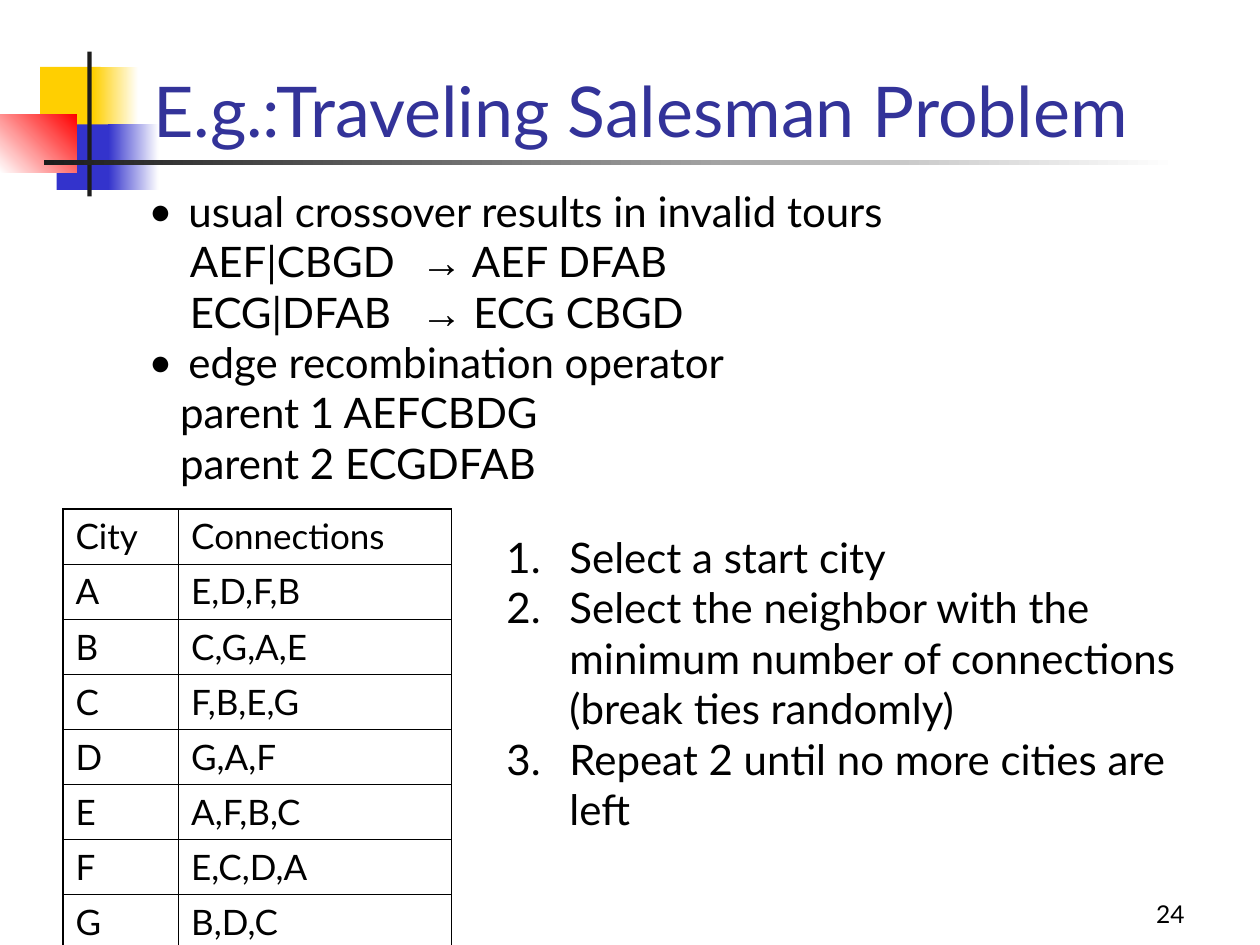
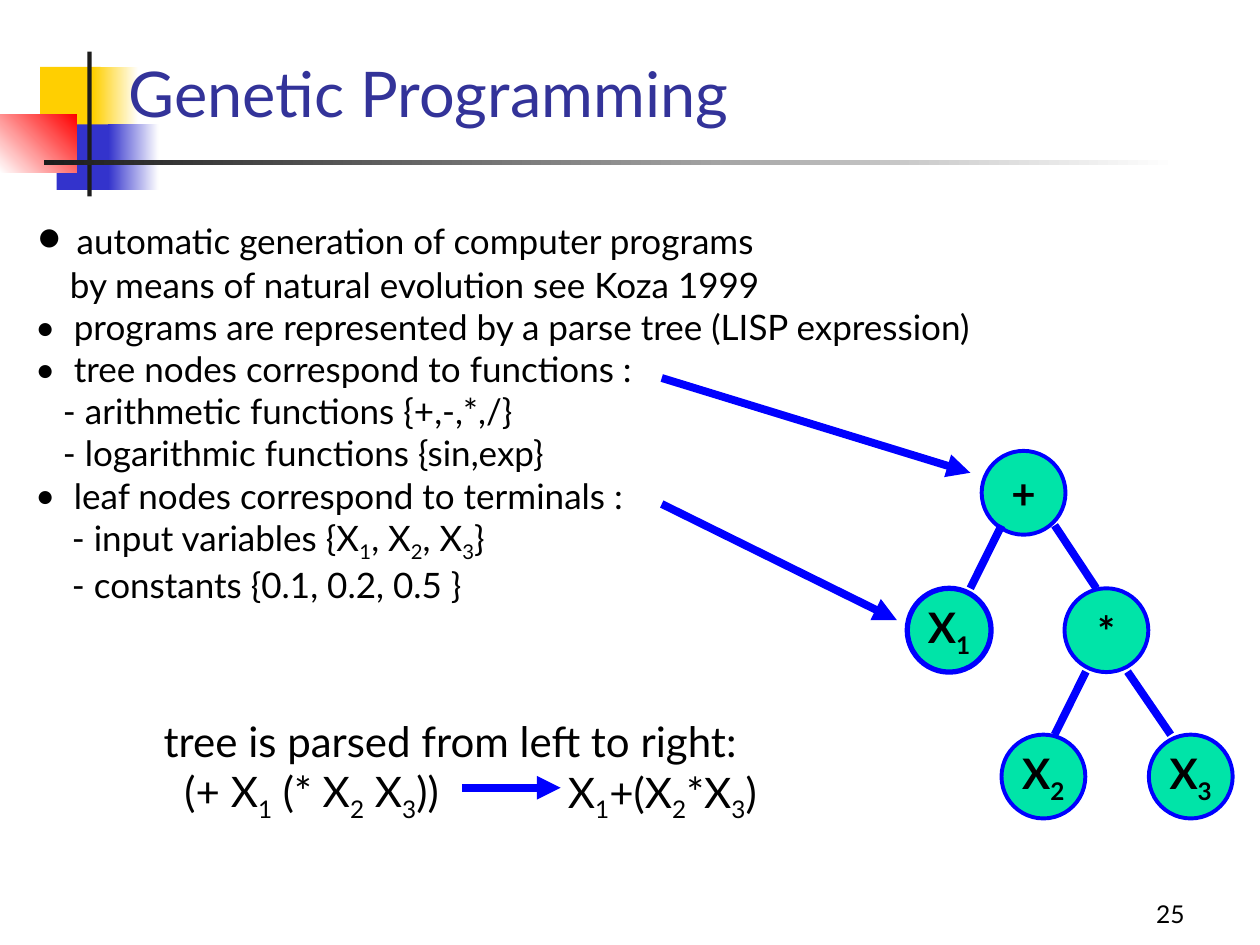
from dataclasses import dataclass
from typing import NamedTuple

from lxml.etree import SubElement
from pptx import Presentation
from pptx.dml.color import RGBColor
from pptx.enum.shapes import MSO_CONNECTOR as Connector, MSO_SHAPE as Shape
from pptx.enum.text import MSO_ANCHOR as Anchor, PP_ALIGN as Align
from pptx.oxml.ns import qn
from pptx.util import Cm, Pt

FONT = "Lato"
BLACK = "000000"
WHITE = "FFFFFF"
TITLE_BLUE = "333399"
BLUE = "0000FF"
GREEN = "00E4A8"
NODE_SIZE = 1.69
ROW_HEIGHT = 1.11
LINE_HEIGHT = 1.02


class Area(NamedTuple):
    left: float
    top: float
    width: float
    height: float


class Band(NamedTuple):
    area: Area
    start: str
    end: str = ""
    angle: int = 0


class Span(NamedTuple):
    text: str
    size: float = 0
    font: str = FONT
    subscript: bool = False


@dataclass
class Line:
    spans: list[Span]
    margin: float = 0
    indent: float = 0
    marker: str = ""


class Node(NamedTuple):
    label: str
    left: float
    top: float
    outline: float = 2.25


class Link(NamedTuple):
    start: tuple[float, float]
    end: tuple[float, float]
    arrow: bool = False


BANDS = [
    Band(Area(0.81, 1.35, 1.22, 1.32), "FFCF01"),
    Band(Area(1.88, 1.35, 0.91, 1.32), "FFCF01", WHITE),
    Band(Area(1.14, 2.51, 1.17, 1.32), "3333CC"),
    Band(Area(2.18, 2.51, 1.02, 1.32), "3333CC", WHITE),
    Band(Area(0, 2.31, 1.55, 1.17), WHITE, "FF0000", 45),
    Band(Area(1.76, 1.04, 0.09, 2.92), "1C1C1C"),
    Band(Area(0.89, 3.22, 22.86, 0.1), "1C1C1C", WHITE),
]

CONNECTIONS = [
    ("City", "Connections"),
    ("A", "E,D,F,B"),
    ("B", "C,G,A,E"),
    ("C", "F,B,E,G"),
    ("D", "G,A,F"),
    ("E", "A,F,B,C"),
    ("F", "E,C,D,A"),
    ("G", "B,D,C"),
]

NODES = [
    Node("+", 19.79, 9.09),
    Node("*", 21.46, 11.86),
    Node("X_3", 23.16, 14.81),
    Node("X_2", 20.19, 14.81),
    Node("X_1", 18.29, 11.86, 3),
]

LINKS = [
    Link((20.19, 10.59), (19.56, 11.86)),
    Link((21.26, 10.59), (22.1, 11.86)),
    Link((22.73, 13.54), (23.6, 14.81)),
    Link((21.89, 13.54), (21.26, 14.81)),
    Link((13.34, 7.62), (19.56, 9.53), True),
    Link((13.34, 10.16), (18.08, 12.5), True),
    Link((9.32, 15.88), (11.3, 15.88), True),
]


def colour(value: str) -> RGBColor:
    return RGBColor.from_string(value)


def spans(text: str) -> list[Span]:
    first, *rest = text.split("_")
    result = [Span(first)]
    for part in rest:
        result.append(Span(part[0], subscript=True))
        if part[1:]:
            result.append(Span(part[1:]))
    return result


def bullet(text: str, margin: float) -> Line:
    return Line(spans(text), margin, -margin, "•")


def indented(text: str, indent: float) -> Line:
    return Line(spans(text), indent=indent)


def child(text: str) -> Line:
    return Line([Span("→", font="Arial"), Span(" " + text)])


def format_para(para, line: Line) -> None:
    properties = para._p.get_or_add_pPr()
    properties.set("marL", str(Cm(line.margin)))
    properties.set("indent", str(Cm(line.indent)))
    if line.marker:
        SubElement(properties, qn("a:buFont"), typeface=FONT)
    if line.marker == "1.":
        SubElement(properties, qn("a:buAutoNum"), type="arabicPeriod")
    elif line.marker:
        SubElement(properties, qn("a:buChar"), char=line.marker)


def write_lines(frame, lines: list[Line], size: float, text_colour: str = BLACK,
                bold: bool = False, align: Align = Align.LEFT) -> None:
    for number, line in enumerate(lines):
        para = frame.add_paragraph() if number else frame.paragraphs[0]
        format_para(para, line)
        para.alignment = align
        for span in line.spans:
            run = para.add_run()
            run.text = span.text
            run.font.name = span.font
            run.font.size = Pt(span.size or size)
            run.font.bold = bold
            run.font.color.rgb = colour(text_colour)
            if span.subscript:
                run.font._element.set("baseline", "-25000")


def add_text(page, area: Area, lines: list[Line], size: float, text_colour: str = BLACK,
             anchor: Anchor = Anchor.TOP, align: Align = Align.LEFT) -> None:
    box = page.shapes.add_textbox(*map(Cm, area))
    frame = box.text_frame
    frame.word_wrap = True
    frame.vertical_anchor = anchor
    write_lines(frame, lines, size, text_colour, align=align)


def add_band(page, band: Band) -> None:
    shape = page.shapes.add_shape(Shape.RECTANGLE, *map(Cm, band.area))
    shape.shadow.inherit = False
    shape.line.fill.background()
    if band.end:
        shape.fill.gradient()
        shape.fill.gradient_angle = band.angle
        for stop, value in zip(shape.fill.gradient_stops, (band.start, band.end)):
            stop.color.rgb = colour(value)
    else:
        shape.fill.solid()
        shape.fill.fore_color.rgb = colour(band.start)


def add_page(deck, title: str, title_area: Area, title_size: float, number: int):
    page = deck.slides.add_slide(deck.slide_layouts[6])
    for band in BANDS:
        add_band(page, band)
    add_text(page, title_area, [Line(spans(title))], title_size, TITLE_BLUE, Anchor.BOTTOM)
    add_text(page, Area(18.85, 17.58, 5.28, 1.27), [Line(spans(str(number)))], 14,
             anchor=Anchor.BOTTOM, align=Align.RIGHT)
    return page


def add_border(cell, side: str, width: float) -> None:
    border = SubElement(cell._tc.get_or_add_tcPr(), qn(f"a:ln{side}"), w=str(Pt(width)))
    fill = SubElement(border, qn("a:solidFill"))
    SubElement(fill, qn("a:srgbClr"), val=BLACK)


def add_connections(page, left: float, top: float, widths: list[float]) -> None:
    rows = len(CONNECTIONS)
    frame = page.shapes.add_table(rows, len(widths), Cm(left), Cm(top),
                                  Cm(sum(widths)), Cm(ROW_HEIGHT * rows))
    table = frame.table
    table.first_row = table.horz_banding = False
    for column, width in zip(table.columns, widths):
        column.width = Cm(width)
    for row, texts in enumerate(CONNECTIONS):
        table.rows[row].height = Cm(ROW_HEIGHT)
        for column, text in enumerate(texts):
            cell = table.cell(row, column)
            outer = {"L": column == 0, "R": column == len(widths) - 1,
                     "T": row == 0, "B": row == rows - 1}
            for side, is_outer in outer.items():
                add_border(cell, side, 1.08 if is_outer else 0.45)
            cell.fill.background()
            write_lines(cell.text_frame, [Line(spans(text))], 20)


def add_node(page, node: Node) -> None:
    shape = page.shapes.add_shape(Shape.OVAL, Cm(node.left), Cm(node.top),
                                  Cm(NODE_SIZE), Cm(NODE_SIZE))
    shape.shadow.inherit = False
    shape.fill.solid()
    shape.fill.fore_color.rgb = colour(GREEN)
    shape.line.color.rgb = colour(BLUE)
    shape.line.width = Pt(node.outline)
    shape.text_frame.word_wrap = False
    shape.text_frame.vertical_anchor = Anchor.MIDDLE
    write_lines(shape.text_frame, [Line(spans(node.label))], 24, bold=True, align=Align.CENTER)


def add_link(page, link: Link) -> None:
    connector = page.shapes.add_connector(Connector.STRAIGHT, *map(Cm, link.start + link.end))
    connector.line.color.rgb = colour(BLUE)
    connector.line.width = Pt(4.5)
    if link.arrow:
        SubElement(connector.line._get_or_add_ln(), qn("a:tailEnd"), type="triangle")
    SubElement(connector._element.spPr, qn("a:effectLst"))


def build_salesman(deck) -> None:
    page = add_page(deck, "E.g.:Traveling Salesman Problem", Area(2.84, 1.07, 21.64, 2.11), 40, 24)
    operators = Area(2.74, 3.61, 16.26, 6.35)
    add_text(page, operators, [
        bullet("usual crossover results in invalid tours", 0.81),
        indented("AEF|CBGD", 0.84),
        indented("ECG|DFAB", 0.84),
        bullet("edge recombination operator", 0.81),
        indented("parent 1 AEFCBDG", 0.64),
        indented("parent 2 ECGDFAB", 0.64),
    ], 24)
    add_text(page, Area(8.23, operators.top + LINE_HEIGHT, 8, 2.29),
             [child("AEF DFAB"), child("ECG CBGD")], 24)
    add_connections(page, 1.27, 10.26, [2.33, 5.5])
    steps = [
        "Select a start city",
        "Select the neighbor with the minimum number of connections (break ties randomly)",
        "Repeat 2 until no more cities are left",
    ]
    add_text(page, Area(9.96, 10.59, 14.4, 7.37),
             [Line(spans(step), 1.27, -1.27, "1.") for step in steps], 24)


def build_programming(deck) -> None:
    page = add_page(deck, "Genetic Programming", Area(2.34, 1.47, 21.59, 1.27), 36, 25)
    opening = [Span(" ", 28, "Times New Roman"), Span("automatic generation of computer programs")]
    add_text(page, Area(0.46, 4.01, 20.73, 9.19), [
        Line(opening, 0.59, -0.59, "•"),
        indented("by means of natural evolution see Koza 1999", 0.7),
        bullet("programs are represented by a parse tree (LISP expression)", 0.78),
        bullet("tree nodes correspond to functions :", 0.78),
        indented("- arithmetic functions {+,-,*,/}", 0.56),
        indented("- logarithmic functions {sin,exp}", 0.56),
        bullet("leaf nodes correspond to terminals :", 0.78),
        indented("- input variables {X_1, X_2, X_3}", 0.74),
        indented("- constants {0.1, 0.2, 0.5 }", 0.74),
    ], 20)
    for node in NODES:
        add_node(page, node)
    parsing = Area(3.05, 14.3, 13, 2.44)
    add_text(page, parsing, [
        Line(spans("tree is parsed from left to right:")),
        indented("(+ X_1 (* X_2 X_3))", 0.42),
    ], 24)
    add_text(page, Area(11.2, parsing.top + LINE_HEIGHT, 5, 1.27),
             [Line(spans("X_1+(X_2*X_3)"))], 24)
    for link in LINKS:
        add_link(page, link)


def main() -> None:
    deck = Presentation()
    deck.slide_width = Cm(25.4)
    deck.slide_height = Cm(19.05)
    build_salesman(deck)
    build_programming(deck)
    deck.save("out.pptx")


if __name__ == "__main__":
    main()
